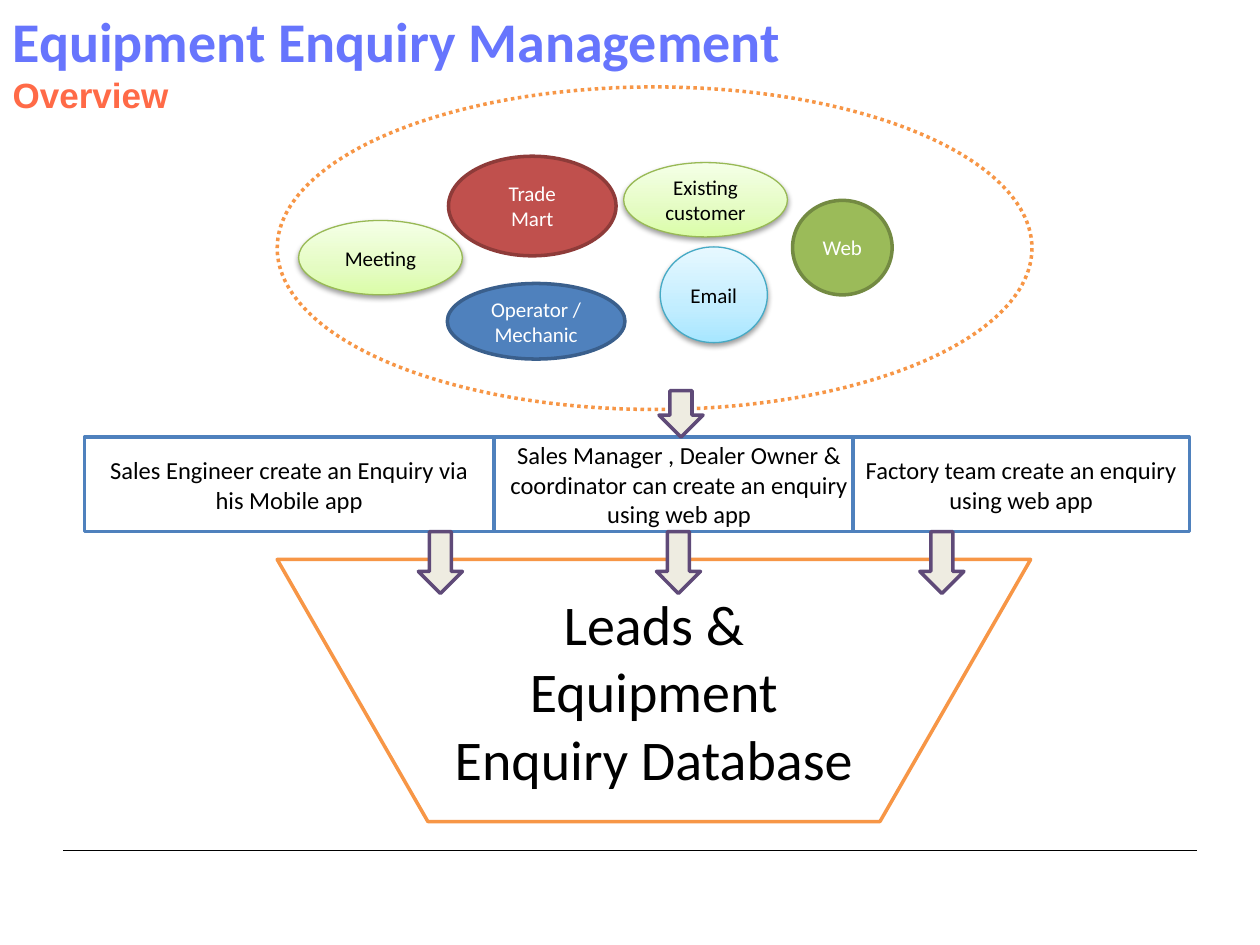
"""Build the equipment enquiry management overview slide."""
from copy import deepcopy

from lxml.etree import SubElement
from pptx import Presentation
from pptx.dml.color import RGBColor
from pptx.enum.dml import MSO_LINE
from pptx.enum.shapes import MSO_CONNECTOR, MSO_SHAPE
from pptx.enum.text import MSO_ANCHOR, MSO_AUTO_SIZE, PP_ALIGN
from pptx.oxml.ns import qn
from pptx.util import Inches, Pt

COLORS = {
    "white": "FFFFFF", "black": "000000", "title": "6775FD", "subtitle": "FF6A47",
    "orange": "F79646", "red": "C0504D", "dark_red": "8E3B39",
    "green": "9BBB59", "dark_green": "738A42", "lime": "98B955",
    "blue": "4F81BD", "dark_blue": "3A5F8C", "aqua": "46AAC5",
    "cream": "EEECE1", "purple": "5F4A78",
    "lime_0": "DAFDA7", "lime_35": "E4FCC2", "lime_100": "F5FFE7",
    "aqua_0": "A7E6FF", "aqua_35": "C1EDFF", "aqua_100": "E7F8FF",
}


def add_run(p, text, size, color, font="Calibri", bold=False):
    r = p.add_run()
    r.text = text
    r.font.size = Pt(size)
    r.font.name = font
    r.font.bold = bold
    r.font.color.rgb = RGBColor.from_string(COLORS[color])


def add_box(kind, box, fill, line, text="", size=12, color="black", width=2):
    sp = s.shapes.add_shape(kind, *[Inches(v) for v in box])
    sp.shadow.inherit = False
    sp.fill.solid()
    sp.fill.fore_color.rgb = RGBColor.from_string(COLORS[fill])
    sp.line.color.rgb = RGBColor.from_string(COLORS[line])
    sp.line.width = Pt(width)
    if text:
        tf = sp.text_frame
        tf.word_wrap = True
        tf.vertical_anchor = MSO_ANCHOR.MIDDLE
        p = tf.paragraphs[0]
        p.alignment = PP_ALIGN.CENTER
        add_run(p, text, size, color)
    return sp


prs = Presentation()
prs.slide_width, prs.slide_height = Inches(10), Inches(7.5)
s = prs.slides.add_slide(prs.slide_layouts[5])

title = s.shapes.title
title.left, title.top = Inches(0), Inches(0)
title.width, title.height = Inches(8.59), Inches(0.98)
tf = title.text_frame
tf.word_wrap = True
tf.auto_size = MSO_AUTO_SIZE.NONE
tf.vertical_anchor = MSO_ANCHOR.TOP
add_run(tf.paragraphs[0], "Equipment Enquiry Management", 32, "title", bold=True)
add_run(tf.add_paragraph(), "Overview", 20, "subtitle", "Arial", True)
for p in tf.paragraphs:
    p.alignment = PP_ALIGN.LEFT

footer = s.shapes.add_connector(
    MSO_CONNECTOR.STRAIGHT, Inches(0.5), Inches(6.75), Inches(9.5), Inches(6.75))
footer.line.color.rgb = RGBColor.from_string(COLORS["black"])
footer.line.width = Pt(0.75)
SubElement(footer._element.spPr, qn("a:effectLst"))

sources = add_box(MSO_SHAPE.OVAL, (2.2, 0.69, 5.99, 2.56), "white", "orange")
sources.line.dash_style = MSO_LINE.ROUND_DOT

for text, box, fill, line in [
    ("Trade Mart", (3.56, 1.24, 1.33, 0.79), "red", "dark_red"),
    ("Web", (6.29, 1.59, 0.79, 0.75), "green", "dark_green"),
    ("Operator /Mechanic", (3.55, 2.25, 1.41, 0.6), "blue", "dark_blue"),
]:
    add_box(MSO_SHAPE.OVAL, box, fill, line, text, color="white")

for text, box, hue in [
    ("Email", (5.24, 1.96, 0.85, 0.76), "aqua"),
    ("Existing customer", (4.95, 1.29, 1.3, 0.59), "lime"),
    ("Meeting", (2.37, 1.75, 1.3, 0.59), "lime"),
]:
    sp = add_box(MSO_SHAPE.OVAL, box, "white", hue, text, width=0.75)
    sp.fill.gradient()
    sp.fill.gradient_angle = 90
    spPr = sp._element.spPr
    stops = spPr.find(qn("a:gradFill")).find(qn("a:gsLst"))
    stops.append(deepcopy(stops[-1]))
    for stop, percent in zip(sp.fill.gradient_stops, (0, 35, 100)):
        stop.position = percent / 100
        stop.color.rgb = RGBColor.from_string(COLORS[f"{hue}_{percent}"])
    shadow = SubElement(spPr.find(qn("a:effectLst")), qn("a:outerShdw"),
                        blurRad="40000", dist="20000", dir="5400000", rotWithShape="0")
    tint = SubElement(shadow, qn("a:srgbClr"), val=COLORS["black"])
    SubElement(tint, qn("a:alpha"), val="38000")

for text, left, width in [
    ("Sales Manager , Dealer Owner & coordinator can create an enquiry using web app",
     3.92, 2.94),
    ("Factory team create an enquiry using web app", 6.77, 2.67),
    ("Sales Engineer create an Enquiry via his Mobile app", 0.67, 3.25),
]:
    add_box(MSO_SHAPE.RECTANGLE, (left, 3.47, width, 0.75), "white", "blue", text, 14)

add_box(MSO_SHAPE.FLOWCHART_MANUAL_OPERATION, (2.2, 4.44, 5.98, 2.08),
        "white", "orange", "Leads & Equipment Enquiry Database", 32)

for left, top, height in [
    (5.23, 3.1, 0.37), (5.21, 4.22, 0.49), (7.3, 4.22, 0.49), (3.32, 4.22, 0.49),
]:
    add_box(MSO_SHAPE.DOWN_ARROW, (left, top, 0.35, height), "cream", "purple")

prs.save("out.pptx")
